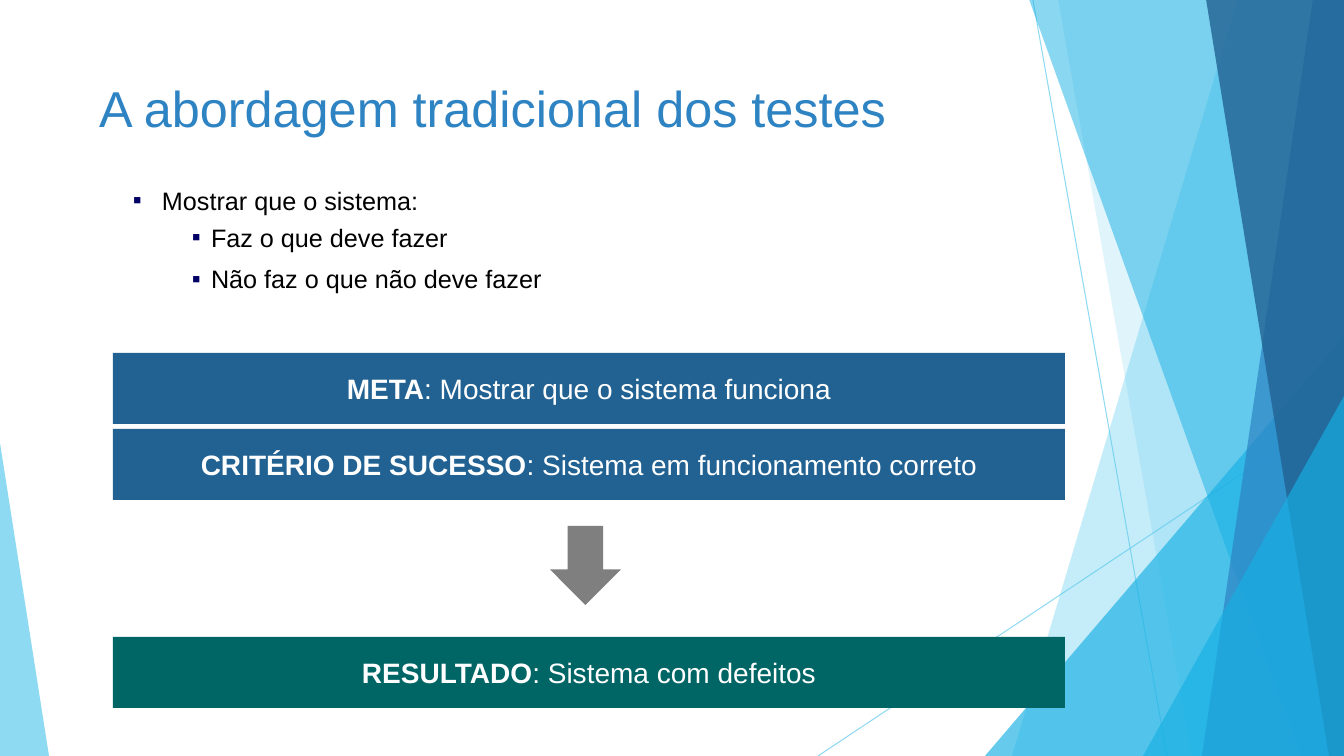
from lxml.etree import SubElement
from pptx import Presentation
from pptx.dml.color import RGBColor
from pptx.enum.shapes import MSO_CONNECTOR as Connector, MSO_SHAPE as Shape
from pptx.enum.text import MSO_ANCHOR as Anchor, MSO_AUTO_SIZE as AutoSize, PP_ALIGN as Align
from pptx.oxml.ns import qn
from pptx.util import Emu, Pt

EMU_PER_PX = 914400 / 100.8
WIDTH, HEIGHT = 1344, 756
SKY, CYAN, BLUE, NAVY, GREEN, GRAY = "5FCBEF", "17B0E4", "2E83C3", "226292", "006565", "7F7F7F"


def px(length):
    return Emu(round(length * EMU_PER_PX))


def color(hex_value):
    return RGBColor.from_string(hex_value)


def add_text(paragraph, text, size=18, ink="000000", bold=False, font="Arial"):
    run = paragraph.add_run()
    run.text = text
    run.font.name, run.font.size, run.font.bold = font, Pt(size), bold
    run.font.color.rgb = color(ink)


def set_alpha(fill_parent, percent):
    for solid in fill_parent.iter(qn("a:solidFill")):
        SubElement(solid[0], qn("a:alpha"), val=str(percent * 1000))


class SlideBuilder:
    """Draws styled elements on one slide, with lengths in px."""

    def __init__(self, presentation):
        self.slide = presentation.slides.add_slide(presentation.slide_layouts[1])
        self.shapes = self.slide.shapes

    def paint(self, shape, fill, alpha=100):
        shape.shadow.inherit = False
        shape.fill.solid()
        shape.fill.fore_color.rgb = color(fill)
        shape.line.fill.background()
        if alpha < 100:
            set_alpha(shape._element.spPr, alpha)
        return shape

    def preset(self, kind, box, fill, alpha=100, adjustment=None):
        shape = self.shapes.add_shape(kind, *map(px, box))
        if adjustment is not None:
            shape.adjustments[0] = adjustment
        return self.paint(shape, fill, alpha)

    def ribbon(self, top_x, bottom_x, fill, alpha):
        builder = self.shapes.build_freeform(top_x, -1, scale=EMU_PER_PX)
        builder.add_line_segments([(WIDTH, -1), (WIDTH, HEIGHT), (bottom_x, HEIGHT)], close=True)
        self.paint(builder.convert_to_shape(), fill, alpha)

    def triangle(self, left, top, width, fill, alpha, apex):
        self.preset(Shape.ISOSCELES_TRIANGLE, (left, top, width, HEIGHT - top), fill, alpha, apex)

    def line(self, ends, ink, alpha):
        connector = self.shapes.add_connector(Connector.STRAIGHT, *map(px, ends))
        connector.line.color.rgb = color(ink)
        connector.line.width = Pt(0.75)
        set_alpha(connector._element.spPr, alpha)
        SubElement(connector._element.spPr, qn("a:effectLst"))

    def frame(self, placeholder, box, margins=(0, 0)):
        placeholder.left, placeholder.top, placeholder.width, placeholder.height = map(px, box)
        frame = placeholder.text_frame
        frame.margin_left, frame.margin_top = map(px, margins)
        frame.margin_right = frame.margin_bottom = 0
        frame.vertical_anchor = Anchor.TOP
        frame.auto_size = AutoSize.NONE
        frame.word_wrap = True
        return frame

    def title(self, text, box, margins):
        paragraph = self.frame(self.shapes.title, box, margins).paragraphs[0]
        paragraph.alignment = Align.LEFT
        add_text(paragraph, text, size=36, ink=BLUE)

    def bullets(self, items, box):
        frame = self.frame(self.slide.placeholders[1], box)
        for index, (text, level, space_before) in enumerate(items):
            paragraph = frame.add_paragraph() if index else frame.paragraphs[0]
            paragraph.level = level
            paragraph.space_before = Pt(space_before)
            add_text(paragraph, text)
            margin, indent = ((31, -29), (80, -19))[level]
            properties = paragraph._p.get_or_add_pPr()
            properties.set("marL", str(px(margin)))
            properties.set("indent", str(px(indent)))
            bullet_color = SubElement(properties, qn("a:buClr"))
            SubElement(bullet_color, qn("a:srgbClr"), val="000065")
            SubElement(properties, qn("a:buFont"), typeface="Arial")
            SubElement(properties, qn("a:buChar"), char="▪")

    def banner(self, label, text, top, fill):
        shape = self.preset(Shape.RECTANGLE, (113, top, 952, 71), fill)
        frame = shape.text_frame
        frame.word_wrap = True
        frame.vertical_anchor = Anchor.MIDDLE
        paragraph = frame.paragraphs[0]
        paragraph.alignment = Align.CENTER
        add_text(paragraph, label, size=20, ink="FFFFFF", bold=True)
        add_text(paragraph, f": {text}", size=20, ink="FFFFFF")


def main():
    presentation = Presentation()
    presentation.slide_width, presentation.slide_height = px(WIDTH), px(HEIGHT)
    builder = SlideBuilder(presentation)

    for ends in ((1033, 0, 1167, HEIGHT), (WIDTH, 406, 818, HEIGHT)):
        builder.line(ends, SKY, 70)
    builder.ribbon(1238, 1012, SKY, 36)
    builder.ribbon(1058, 1192, SKY, 20)
    builder.triangle(985, 336, 359, CYAN, 66, apex=1)
    builder.ribbon(1029, 1301, CYAN, 50)
    builder.ribbon(1313, 1202, BLUE, 70)
    builder.ribbon(1206, 1329, NAVY, 80)
    builder.triangle(1143, 396, 201, CYAN, 66, apex=1)
    builder.triangle(0, 443, 49, SKY, 70, apex=0)

    builder.title("A abordagem tradicional dos testes", (75, 68, 947, 145), margins=(24, 9))
    builder.bullets(
        [
            ("Mostrar que o sistema:", 0, 0),
            ("Faz o que deve fazer", 1, 4.9),
            ("Não faz o que não deve fazer", 1, 7.8),
        ],
        (131, 185, 529, 110),
    )
    builder.banner("META", "Mostrar que o sistema funciona", 353, NAVY)
    builder.banner("CRITÉRIO DE SUCESSO", "Sistema em funcionamento correto", 429, NAVY)
    builder.banner("RESULTADO", "Sistema com defeitos", 637, GREEN)
    builder.preset(Shape.DOWN_ARROW, (550, 526, 71, 79), GRAY)

    presentation.save("out.pptx")


if __name__ == "__main__":
    main()
